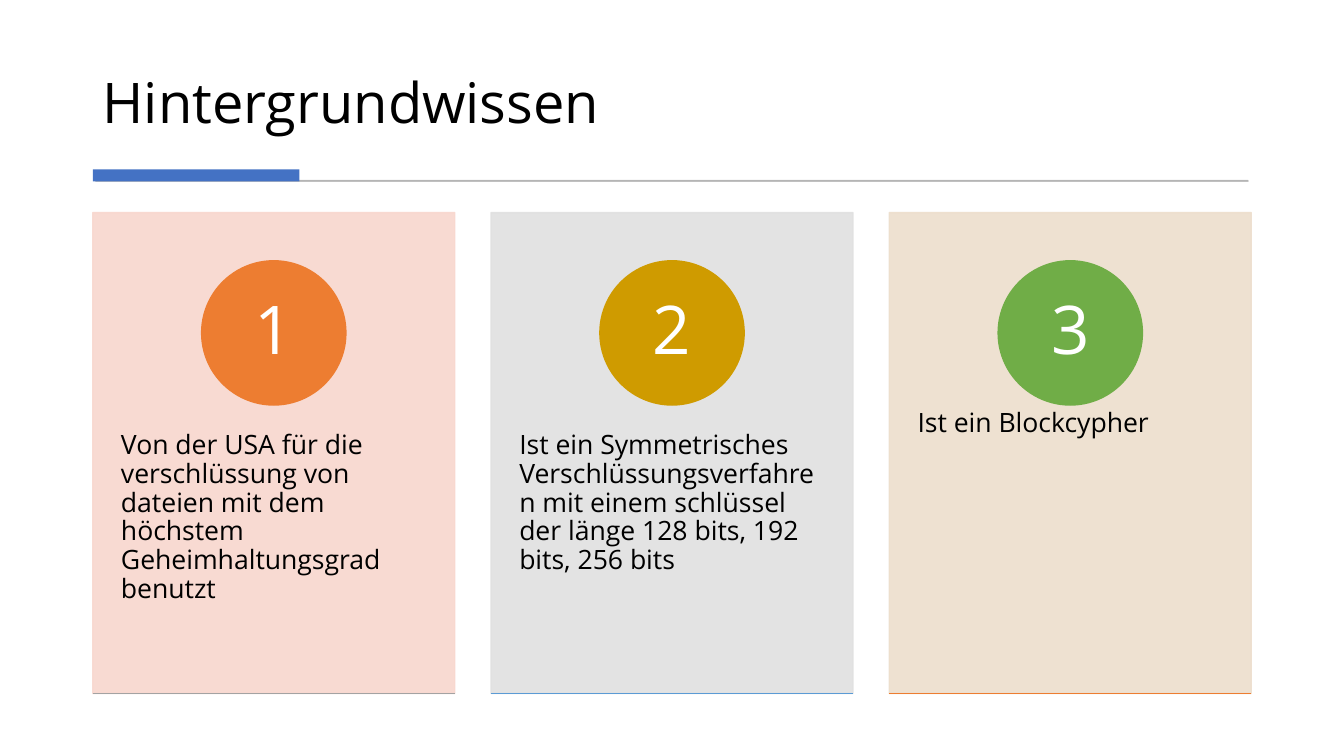
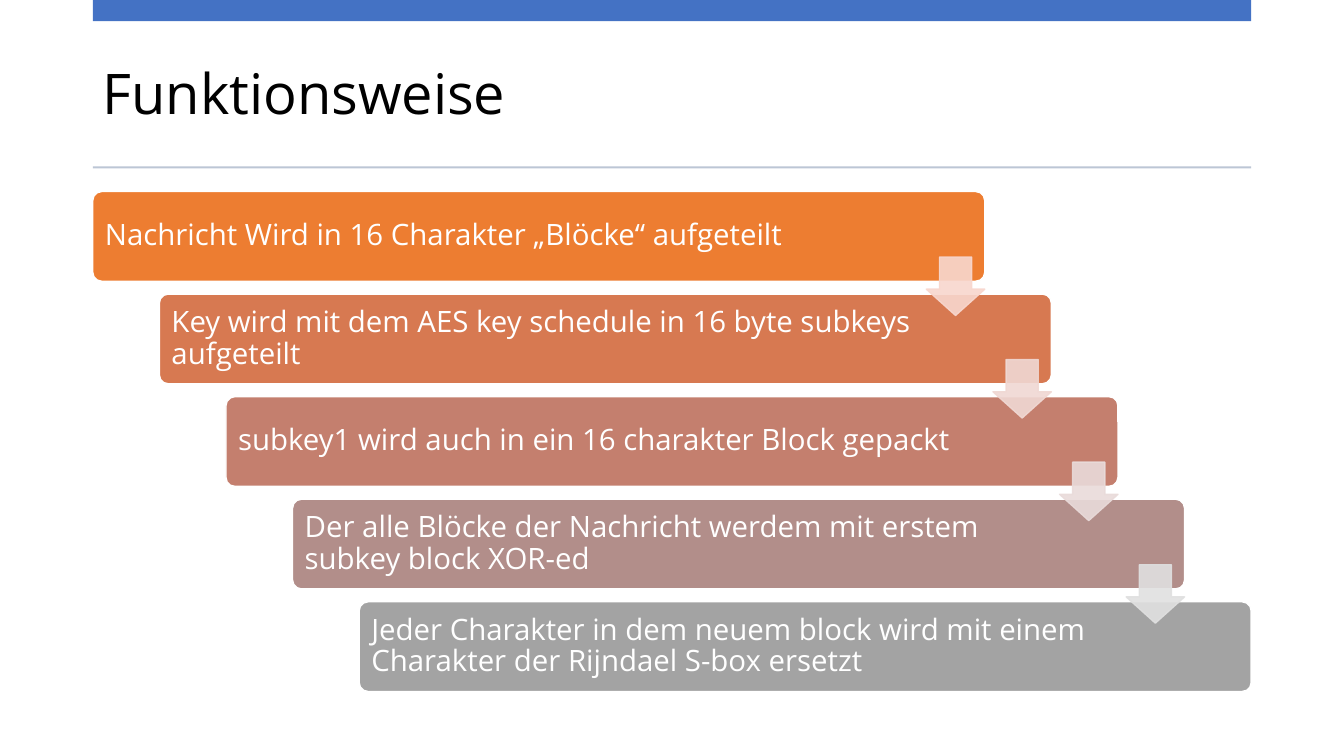
import pptx
import pptx.util
import pptx.dml.color
import pptx.enum.shapes
import pptx.enum.text
import pptx.oxml.ns
from lxml import etree

COLORS = {
    "black": "000000", "white": "FFFFFF", "accent": "4472C4",
    "rule": "595959", "pale_rule": "BCC6D5",
    "orange": "ED7D31", "gold": "CF9B00", "green": "70AD47",
    "gray": "A3A3A3", "blue": "5B9BD5",
    "rose": "F8D7CE", "silver": "E0E0E0", "sand": "EDDECC",
    "copper": "D77951", "clay": "C47F6E", "mauve": "B28E8A",
    "blush": "F0D8D3", "mist": "E9DBDA",
}
FONT = "Open Sans"

CARDS_TITLE = "Hintergrundwissen"
CARDS = [
    ("Von der USA für die verschlüssung von dateien mit dem höchstem "
     "Geheimhaltungsgrad benutzt", "rose", "orange", "gray"),
    ("Ist ein Symmetrisches Verschlüssungsverfahren mit einem schlüssel "
     "der länge 128 bits, 192 bits, 256 bits", "silver", "gold", "blue"),
    ("Ist ein Blockcypher", "sand", "green", "orange"),
]

STEPS_TITLE = "Funktionsweise"
STEPS = [
    ("Nachricht Wird in 16 Charakter „Blöcke“ aufgeteilt", "orange"),
    ("Key wird mit dem AES key schedule in 16 byte subkeys aufgeteilt", "copper"),
    ("subkey1 wird auch in ein 16 charakter Block gepackt", "clay"),
    ("Der alle Blöcke der Nachricht werdem mit erstem subkey block XOR-ed", "mauve"),
    ("Jeder Charakter in dem neuem block wird mit einem Charakter der "
     "Rijndael S-box ersetzt", "gray"),
]
ARROWS = ["rose", "blush", "mist", "silver"]

SLIDE_WIDTH, SLIDE_HEIGHT = 13.33, 7.5
MARGIN = 0.92
CONTENT_WIDTH = SLIDE_WIDTH - 2 * MARGIN

SHAPES = pptx.enum.shapes.MSO_SHAPE
ANCHOR = pptx.enum.text.MSO_ANCHOR
ALIGN = pptx.enum.text.PP_ALIGN
inches = pptx.util.Inches

presentation = pptx.Presentation()
presentation.slide_width = inches(SLIDE_WIDTH)
presentation.slide_height = inches(SLIDE_HEIGHT)


def add_slide():
    return presentation.slides.add_slide(presentation.slide_layouts[6])


def paint(fill, color, opacity):
    fill.solid()
    fill.fore_color.rgb = pptx.dml.color.RGBColor.from_string(COLORS[color])
    if opacity < 100:
        tag = pptx.oxml.ns.qn("a:srgbClr")
        for element in fill._xPr.find(pptx.oxml.ns.qn("a:solidFill")).iter(tag):
            alpha = etree.SubElement(element, pptx.oxml.ns.qn("a:alpha"))
            alpha.set("val", str(opacity * 1000))


def add_block(slide, kind, box, color, line=None, opacity=100, width=1, adjust=()):
    shape = slide.shapes.add_shape(kind, *map(inches, box))
    shape.shadow.inherit = False
    for index, value in enumerate(adjust):
        shape.adjustments[index] = value
    paint(shape.fill, color, opacity)
    if line:
        shape.line.width = pptx.util.Pt(width)
        paint(shape.line.fill, line, opacity)
    else:
        shape.line.fill.background()
    return shape


def add_text(slide, box, text, size, color, anchor, insets=(0.1, 0.05), align=ALIGN.LEFT):
    frame = slide.shapes.add_textbox(*map(inches, box)).text_frame
    frame.word_wrap = True
    frame.vertical_anchor = anchor
    frame.margin_left = frame.margin_right = inches(insets[0])
    frame.margin_top = frame.margin_bottom = inches(insets[1])
    paragraph = frame.paragraphs[0]
    paragraph.alignment = align
    paragraph.line_spacing = 0.9
    run = paragraph.add_run()
    run.text = text
    run.font.name = FONT
    run.font.size = pptx.util.Pt(size)
    run.font.color.rgb = pptx.dml.color.RGBColor.from_string(COLORS[color])


def add_title(slide, text, top, height, anchor):
    add_text(slide, (MARGIN, top, CONTENT_WIDTH, height), text, 40, "black", anchor)


def add_line(slide, left, top, width, color):
    line = slide.shapes.add_connector(
        pptx.enum.shapes.MSO_CONNECTOR.STRAIGHT,
        *map(inches, (left, top, left + width, top)))
    line.line.width = pptx.util.Pt(1)
    paint(line.line.fill, color, 100)
    etree.SubElement(line._element.spPr, pptx.oxml.ns.qn("a:effectLst"))


def build_cards():
    slide = add_slide()
    add_title(slide, CARDS_TITLE, 0.28, 1.11, ANCHOR.BOTTOM)
    add_block(slide, SHAPES.RECTANGLE, (0.95, 1.79, 11.43, 0.01), "rule", "rule", 30, 0.75)
    add_block(slide, SHAPES.RECTANGLE, (MARGIN, 1.68, 2.05, 0.12), "accent")
    top, width, height = 2.11, 3.59, 4.77
    pitch = (CONTENT_WIDTH - width) / (len(CARDS) - 1)
    disc = 0.3 * height
    number = disc / 2 ** 0.5
    disc_top = top + 0.1 * height
    for index, (text, back, badge, edge) in enumerate(CARDS):
        left = MARGIN + index * pitch
        center = left + width / 2
        add_block(slide, SHAPES.RECTANGLE, (left, top, width, height), back, back, 90)
        add_text(slide, (left, top + 0.38 * height, width, 0.6 * height), text, 19,
                 "black", ANCHOR.TOP, (0.28, 0.36))
        add_block(slide, SHAPES.OVAL, (center - disc / 2, disc_top, disc, disc), badge, badge)
        add_text(slide, (center - number / 2, disc_top + (disc - number) / 2, number, number),
                 str(index + 1), 48, "white", ANCHOR.MIDDLE, (0.11, 0.01), ALIGN.CENTER)
        add_line(slide, left, top + height, width, edge)


def build_steps():
    slide = add_slide()
    add_title(slide, STEPS_TITLE, 0.37, 1.18, ANCHOR.MIDDLE)
    add_block(slide, SHAPES.RECTANGLE, (MARGIN, 0, CONTENT_WIDTH, 0.21), "accent")
    add_block(slide, SHAPES.RECTANGLE, (MARGIN, 1.65, CONTENT_WIDTH, 0.02), "pale_rule")
    top, bottom, height = 1.9, 6.86, 0.89
    width = 0.77 * CONTENT_WIDTH
    shift = (CONTENT_WIDTH - width) / (len(STEPS) - 1)
    pitch = (bottom - top - height) / (len(STEPS) - 1)
    pad, arrow = 0.03, 0.58
    for index, (text, color) in enumerate(STEPS):
        left, step_top = MARGIN + index * shift, top + index * pitch
        text_width = 7.55 if index else 7.78
        add_block(slide, SHAPES.ROUNDED_RECTANGLE, (left, step_top, width, height),
                  color, "white", adjust=(0.1,))
        add_text(slide, (left + pad, step_top + pad, text_width, height - 2 * pad),
                 text, 21, "white", ANCHOR.MIDDLE, (0.09, 0.09))
    for index, color in enumerate(ARROWS):
        left = MARGIN + index * shift + width - arrow
        add_block(slide, SHAPES.DOWN_ARROW, (left, top + 0.65 + index * pitch, arrow, arrow),
                  color, color, 90, adjust=(0.55, 0.45))


build_cards()
build_steps()
presentation.save("out.pptx")
